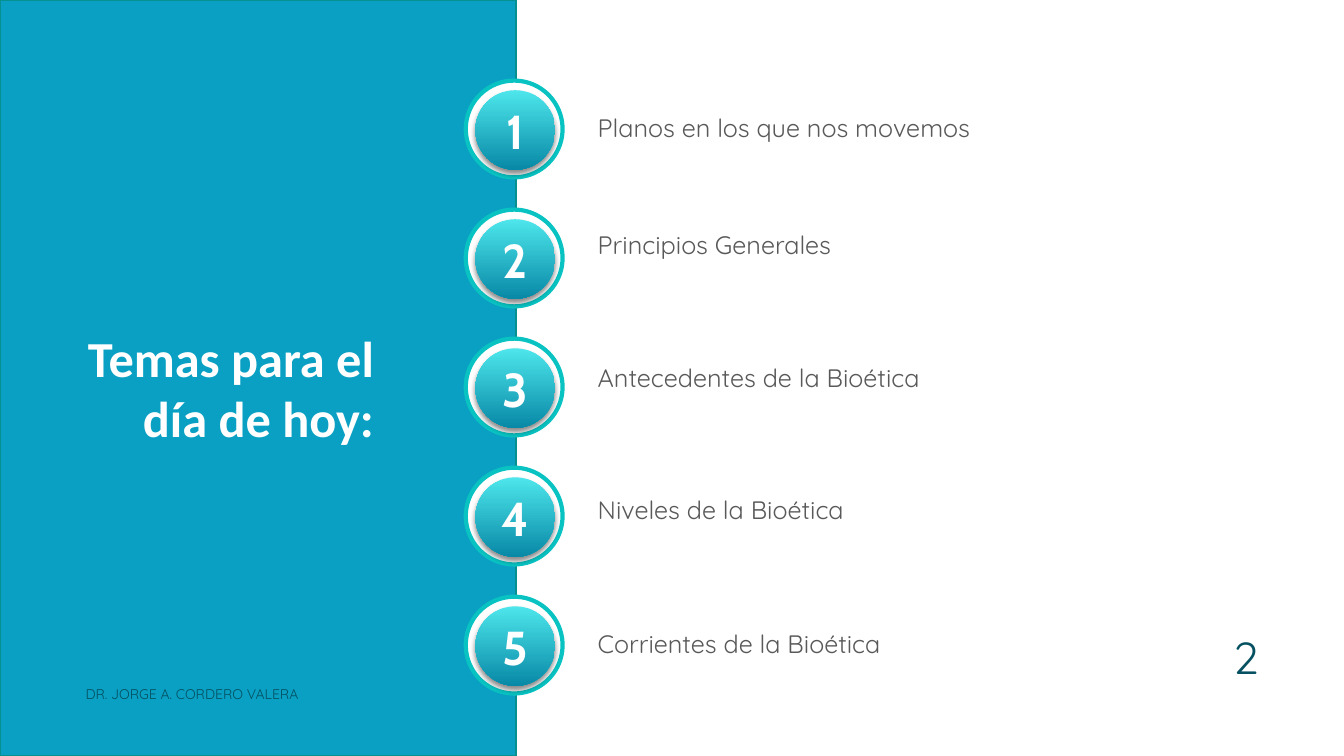
from lxml import etree
from pptx import Presentation
from pptx.dml.color import RGBColor
from pptx.enum.shapes import MSO_SHAPE
from pptx.enum.text import MSO_ANCHOR, MSO_AUTO_SIZE, PP_ALIGN
from pptx.oxml.ns import qn
from pptx.util import Inches, Pt

RECTANGLE, OVAL = MSO_SHAPE.RECTANGLE, MSO_SHAPE.OVAL
LEFT, CENTER, RIGHT = PP_ALIGN.LEFT, PP_ALIGN.CENTER, PP_ALIGN.RIGHT
TOP, MIDDLE, BOTTOM = MSO_ANCHOR.TOP, MSO_ANCHOR.MIDDLE, MSO_ANCHOR.BOTTOM
NO_AUTOFIT = MSO_AUTO_SIZE.NONE

SLIDE_W, SLIDE_H = 13.33, 7.5
PANEL_W = 5.12
BADGE_SIZE, DISC_SIZE = 0.96, 0.79
FIRST_BADGE_TOP, BADGE_PITCH = 0.8, 1.28
TOPICS = [
    ("Planos en los que nos movemos", 1.07),
    ("Principios Generales", 2.23),
    ("Antecedentes de la Bioética", 3.55),
    ("Niveles de la Bioética", 4.86),
    ("Corrientes de la Bioética", 6.18),
]


def rgb(value):
    return RGBColor.from_string(value)


def inches(box):
    return [Inches(length) for length in box]


def write(holder, text, size, font, color, align=LEFT, anchor=TOP, bold=False, wrap=True):
    frame = holder.text_frame
    frame.text = text
    frame.word_wrap = wrap
    frame.auto_size = NO_AUTOFIT
    frame.vertical_anchor = anchor
    paragraph = frame.paragraphs[0]
    paragraph.alignment = align
    paragraph.line_spacing = 1.0
    paragraph.space_before = Pt(0)
    style = paragraph.runs[0].font
    style.size, style.name, style.bold = Pt(size), font, bold
    style.color.rgb = rgb(color)


def add_outlined(shapes, kind, box, fill, line, width):
    outlined = shapes.add_shape(kind, *inches(box))
    outlined.shadow.inherit = False
    outlined.fill.solid()
    outlined.fill.fore_color.rgb = rgb(fill)
    outlined.line.color.rgb = rgb(line)
    outlined.line.width = Pt(width)


def drop_shadow(shape, color, opacity, blur, distance):
    shape.shadow.inherit = False
    effects = shape._element.spPr.find(qn("a:effectLst"))
    shadow = etree.SubElement(
        effects, qn("a:outerShdw"), blurRad=str(Pt(blur)), dist=str(Pt(distance)),
        dir="5400000", algn="t", rotWithShape="0")
    tint = etree.SubElement(shadow, qn("a:srgbClr"), val=color)
    etree.SubElement(tint, qn("a:alpha"), val=str(opacity * 1000))


def add_badge(slide, number, left, top, size):
    badge = slide.shapes.add_group_shape().shapes
    add_outlined(badge, OVAL, (left, top, size, size), "FFFFFF", "09C3C2", 3)

    center_x, center_y = left + size / 2 + 0.01, top + size / 2 + 0.01
    disc_box = (center_x - DISC_SIZE / 2, center_y - DISC_SIZE / 2, DISC_SIZE, DISC_SIZE)
    disc = badge.add_shape(OVAL, *inches(disc_box))
    disc.fill.gradient()
    disc.fill.gradient_angle = 270
    for stop, color in zip(disc.fill.gradient_stops, ("4DE6EB", "0889A7")):
        stop.color.rgb = rgb(color)
    disc.line.fill.background()
    drop_shadow(disc, "000000", 46, 4, 3)

    digit_w, digit_h = 0.41, 0.67
    digit = badge.add_textbox(
        *inches((center_x - digit_w / 2, center_y - digit_h / 2, digit_w, digit_h)))
    write(digit, str(number), 34, "Cabin", "FFFFFF", CENTER, MIDDLE, bold=True, wrap=False)


def add_panel(slide, left, top, width, height):
    add_outlined(slide.shapes, RECTANGLE, (left, top, width, height), "09A0C3", "079090", 1.25)
    title = slide.shapes.title
    title.left, title.top, title.width, title.height = inches(
        (left + 0.39, top + 3.19, 3.42, 1.31))
    write(title, "Temas para el día de hoy:", 36, "Calibri", "FFFFFF", RIGHT, MIDDLE, bold=True)
    title._element.getparent().append(title._element)


def add_topics(slide, left, width):
    for index, (topic, label_top) in enumerate(TOPICS):
        add_badge(slide, index + 1, left, FIRST_BADGE_TOP + index * BADGE_PITCH, BADGE_SIZE)
        label = slide.shapes.add_textbox(*inches((left + 1.21, label_top, width - 1.21, 0.4)))
        write(label, topic, 18, "Quicksand", "595959")


def add_footer(slide, left, top, width, height):
    author = slide.shapes.add_textbox(*inches((left, top + 0.65, 8.25, 0.4)))
    write(author, "DR. JORGE A. CORDERO VALERA", 10, "Quicksand", "055061")
    page_w = 1.25
    page = slide.shapes.add_textbox(*inches((left + width - page_w, top, page_w, 0.73)))
    write(page, "2", 32, "Quicksand", "055061", RIGHT, BOTTOM)


def main():
    deck = Presentation()
    deck.slide_width, deck.slide_height = Inches(SLIDE_W), Inches(SLIDE_H)
    slide = deck.slides.add_slide(deck.slide_layouts[5])
    slide.background.fill.solid()
    slide.background.fill.fore_color.rgb = rgb("FFFFFF")
    add_panel(slide, 0, 0, PANEL_W, SLIDE_H)
    add_topics(slide, 4.62, 5.85)
    add_footer(slide, 0.75, 6.1, 11.83, 1.05)
    deck.save("out.pptx")


if __name__ == "__main__":
    main()
